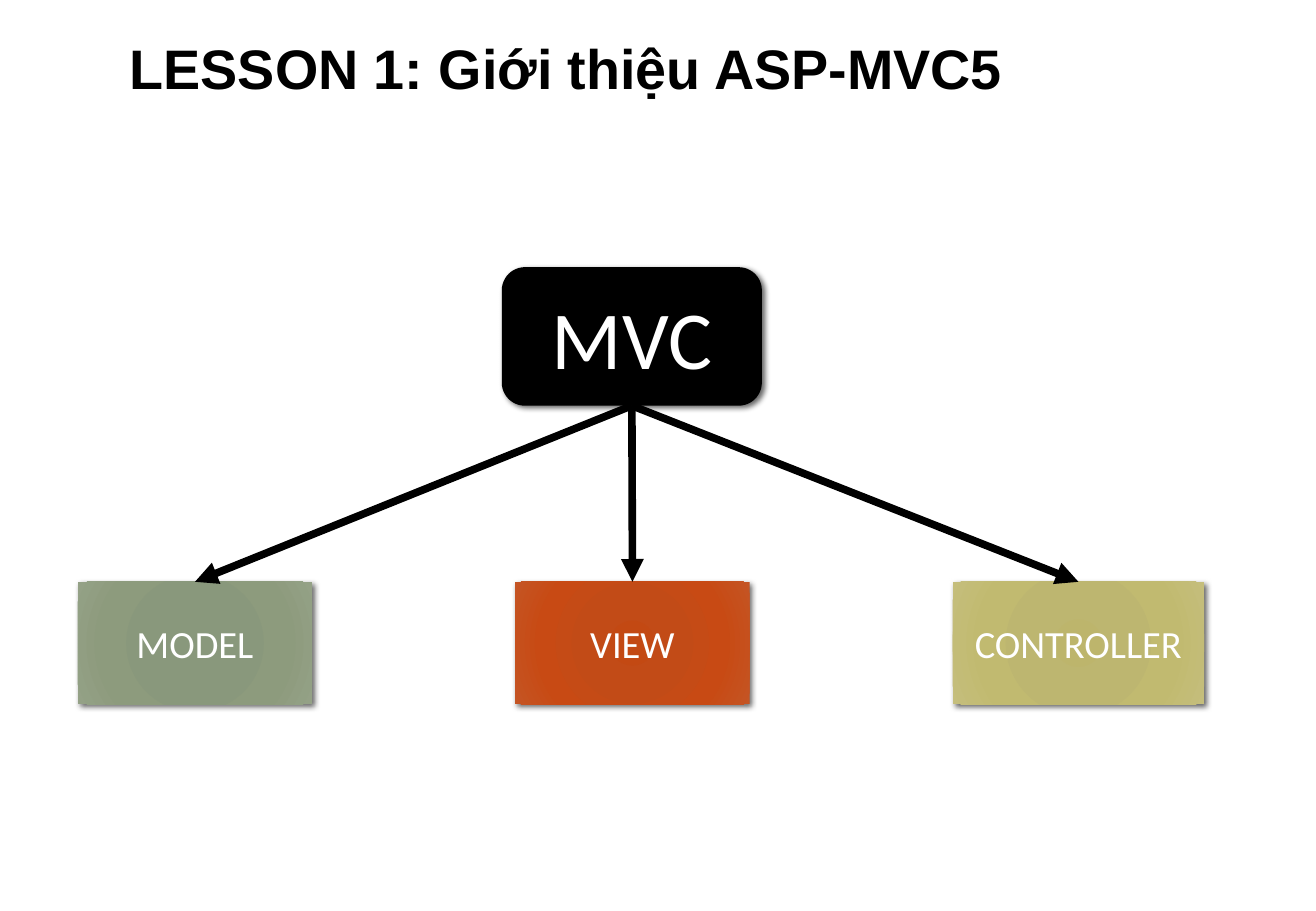
from pptx import Presentation
from pptx.dml.color import RGBColor
from pptx.enum.shapes import MSO_CONNECTOR, MSO_SHAPE
from pptx.enum.text import MSO_ANCHOR, PP_ALIGN
from pptx.oxml import parse_xml
from pptx.oxml.ns import nsdecls
from pptx.util import Inches, Pt

RECT, ROUND = MSO_SHAPE.RECTANGLE, MSO_SHAPE.ROUNDED_RECTANGLE
STRAIGHT = MSO_CONNECTOR.STRAIGHT
TOP, MIDDLE = MSO_ANCHOR.TOP, MSO_ANCHOR.MIDDLE
LEFT, CENTER = PP_ALIGN.LEFT, PP_ALIGN.CENTER

THEME = {
    "dark": "000000", "light": "FFFFFF",
    "head": "Arial", "body": "Calibri",
    "title": 33, "root": 48.8, "part": 22.8, "line": 4.5,
    "stops": (0, 34, 70, 100),
    "model": ("89977A", "89987C", "8D9B7D", "94A186"),
    "view": ("C34913", "C24B17", "C84A14", "C45524"),
    "control": ("BDB56C", "BDB670", "C1BA70", "C5BE7C"),
}

# Grid of the lower row: three columns at an equal pitch
EDGE, PITCH, ROW, HIGH = 0.64, 3.6, 4.79, 1.01
PARTS = [
    ("MODEL", 1.93, THEME["model"]),
    ("VIEW", 1.93, THEME["view"]),
    ("CONTROLLER", 2.07, THEME["control"]),
]
ROOT = (4.13, 2.2, 2.14, 1.14)

deck = Presentation()
deck.slide_width, deck.slide_height = Inches(10.83), Inches(7.5)
slide = deck.slides.add_slide(deck.slide_layouts[6])
shapes = slide.shapes


def write(shape, text, size, font=THEME["body"], color=THEME["light"],
          bold=False, align=CENTER, anchor=MIDDLE, space=1.0):
    frame = shape.text_frame
    frame.word_wrap = True
    frame.vertical_anchor = anchor
    para = frame.paragraphs[0]
    para.alignment, para.line_spacing = align, space
    run = para.add_run()
    run.text = text
    run.font.name, run.font.size, run.font.bold = font, Pt(size), bold
    run.font.color.rgb = RGBColor.from_string(color)


def add_box(kind, place, colors):
    """Add a shadowed box; several colors make a gradient from its centre."""
    box = shapes.add_shape(kind, *map(Inches, place))
    box.fill.solid()
    box.fill.fore_color.rgb = RGBColor.from_string(colors[0])
    box.line.fill.background()
    box.shadow.inherit = False
    props = box._element.spPr
    props.find("{*}effectLst").append(parse_xml(
        f'<a:outerShdw {nsdecls("a")} blurRad="{Pt(3.5)}" dist="{Pt(2)}" '
        f'dir="2700000" rotWithShape="0"><a:srgbClr val="{THEME["dark"]}">'
        '<a:alpha val="60000"/></a:srgbClr></a:outerShdw>'))
    if len(colors) > 1:
        stops = "".join(
            f'<a:gs pos="{stop * 1000}"><a:srgbClr val="{color}"/></a:gs>'
            for stop, color in zip(THEME["stops"], colors))
        props.replace(props.find("{*}solidFill"), parse_xml(
            f'<a:gradFill {nsdecls("a")} rotWithShape="1"><a:gsLst>{stops}</a:gsLst>'
            '<a:path path="circle"><a:fillToRect l="50000" t="50000" '
            'r="50000" b="50000"/></a:path></a:gradFill>'))
    return box


title = shapes.add_textbox(*map(Inches, (0.97, 0.31, 8.94, 1.59)))
write(title, "LESSON 1: Giới thiệu ASP-MVC5", THEME["title"], font=THEME["head"],
      color=THEME["dark"], bold=True, align=LEFT, anchor=TOP, space=0.85)

root = add_box(ROUND, ROOT, [THEME["dark"]])
write(root, "MVC", THEME["root"])

parts = []
for col, (name, wide, colors) in enumerate(PARTS):
    part = add_box(RECT, (EDGE + col * PITCH, ROW, wide, HIGH), colors)
    write(part, name, THEME["part"])
    parts.append(part)

for part in parts:
    arrow = shapes.add_connector(STRAIGHT, 0, 0, 0, 0)
    arrow.begin_connect(root, 2)
    arrow.end_connect(part, 0)
    arrow.line.color.rgb = RGBColor.from_string(THEME["dark"])
    arrow.line.width = Pt(THEME["line"])
    arrow.line._get_or_add_ln().append(
        parse_xml(f'<a:tailEnd {nsdecls("a")} type="triangle"/>'))
    arrow._element.spPr.append(parse_xml(f'<a:effectLst {nsdecls("a")}/>'))

deck.save("out.pptx")
